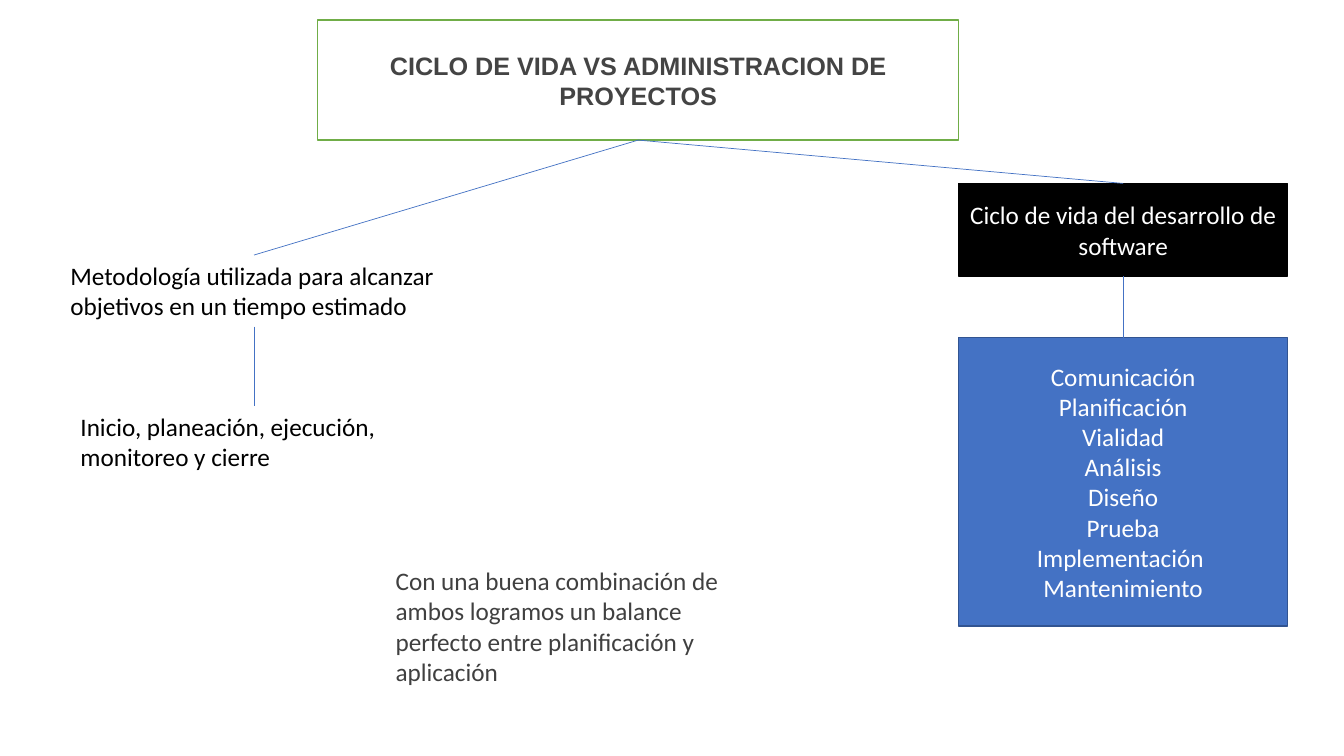
import pptx
import pptx.dml.color
import pptx.enum.shapes
import pptx.enum.text
import pptx.oxml.ns
import pptx.util
from lxml import etree

WIDTH, HEIGHT = 13.33, 7.5
# Centres of the columns, as shares of the slide's width
METHOD, CLOSING, TITLE, CYCLE = (x / WIDTH for x in (2.52, 5.73, 6.33, 11.14))

deck = pptx.Presentation()
deck.slide_width = pptx.util.Inches(WIDTH)
deck.slide_height = pptx.util.Inches(HEIGHT)
slide = deck.slides.add_slide(deck.slide_layouts[6])


def colour(target, value):
    """Give a fill or a font a solid colour from a hex string."""
    if hasattr(target, "solid"):
        target.solid()
        target.fore_color.rgb = pptx.dml.color.RGBColor.from_string(value)
    else:
        target.color.rgb = pptx.dml.color.RGBColor.from_string(value)


def add_block(centre, top, width, height, lines, ink, fill=None, outline=None,
              font="Calibri", bold=False):
    """Add a filled, centred box, or a plain left-aligned text if fill is None."""
    block_width = pptx.util.Inches(width)
    frame = (int(centre * deck.slide_width - block_width / 2),
             int(top / HEIGHT * deck.slide_height),
             block_width, pptx.util.Inches(height))
    if fill:
        block = slide.shapes.add_shape(
            pptx.enum.shapes.MSO_SHAPE.RECTANGLE, *frame)
        block.shadow.inherit = False
        colour(block.fill, fill)
        colour(block.line.fill, outline)
        block.line.width = pptx.util.Pt(1)
        block.text_frame.vertical_anchor = pptx.enum.text.MSO_ANCHOR.MIDDLE
        align = pptx.enum.text.PP_ALIGN.CENTER
    else:
        block = slide.shapes.add_textbox(*frame)
        block.text_frame.auto_size = pptx.enum.text.MSO_AUTO_SIZE.SHAPE_TO_FIT_TEXT
        align = pptx.enum.text.PP_ALIGN.LEFT
    text = block.text_frame
    text.word_wrap = True
    for number, line in enumerate(lines):
        paragraph = text.add_paragraph() if number else text.paragraphs[0]
        paragraph.alignment = align
        run = paragraph.add_run()
        run.text = line
        run.font.name = font
        run.font.size = pptx.util.Pt(18)
        run.font.bold = bold
        colour(run.font, ink)
    return block


title = add_block(TITLE, 0.2, 6.36, 1.19,
                  ["CICLO DE VIDA VS ADMINISTRACION DE PROYECTOS"],
                  "444444", "FFFFFF", "70AD47", "Arial", True)
methodology = add_block(
    METHOD, 2.53, 3.84, 0.71,
    ["Metodología utilizada para alcanzar objetivos en un tiempo estimado"],
    "000000")
stages = add_block(METHOD, 4.03, 3.64, 0.71,
                   ["Inicio, planeación, ejecución, monitoreo y cierre"],
                   "000000")
life_cycle = add_block(CYCLE, 1.82, 3.26, 0.92,
                       ["Ciclo de vida del desarrollo de software"],
                       "FFFFFF", "000000", "000000")
phases = add_block(CYCLE, 3.35, 3.26, 2.86,
                   ["Comunicación", "Planificación", "Vialidad", "Análisis",
                    "Diseño", "Prueba", "Implementación ", "Mantenimiento"],
                   "FFFFFF", "4472C4", "325491")
add_block(CLOSING, 5.56, 3.81, 1.31,
          ["Con una buena combinación de ambos logramos un balance perfecto "
           "entre planificación y aplicación"], "404040")

for parent, child in ((title, methodology), (methodology, stages),
                      (title, life_cycle), (life_cycle, phases)):
    link = slide.shapes.add_connector(
        pptx.enum.shapes.MSO_CONNECTOR.STRAIGHT, 0, 0, 0, 0)
    link.begin_connect(parent, 2)
    link.end_connect(child, 0)
    colour(link.line.fill, "4472C4")
    link.line.width = pptx.util.Pt(0.5)
    etree.SubElement(link.element.spPr, pptx.oxml.ns.qn("a:effectLst"))

deck.save("out.pptx")
